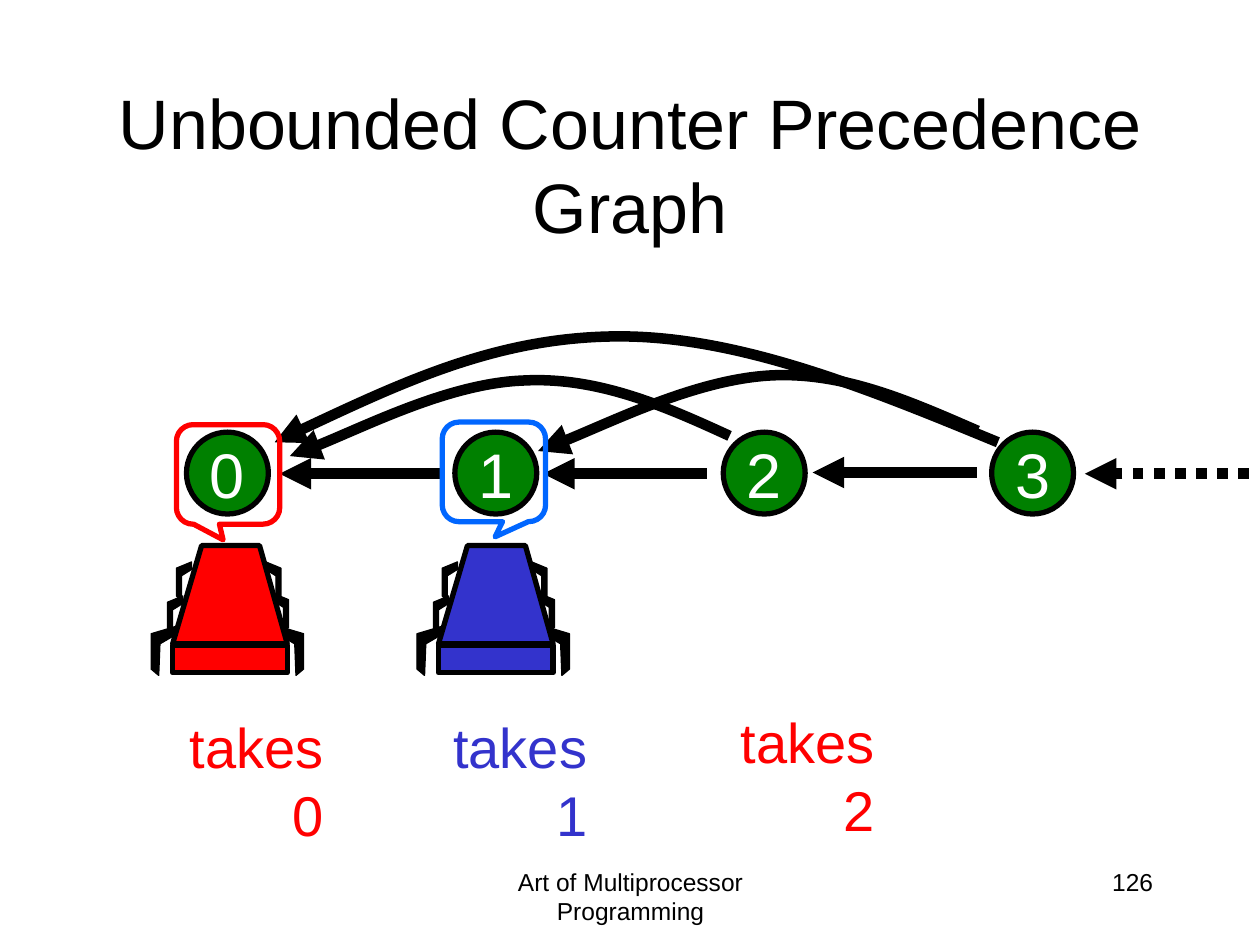
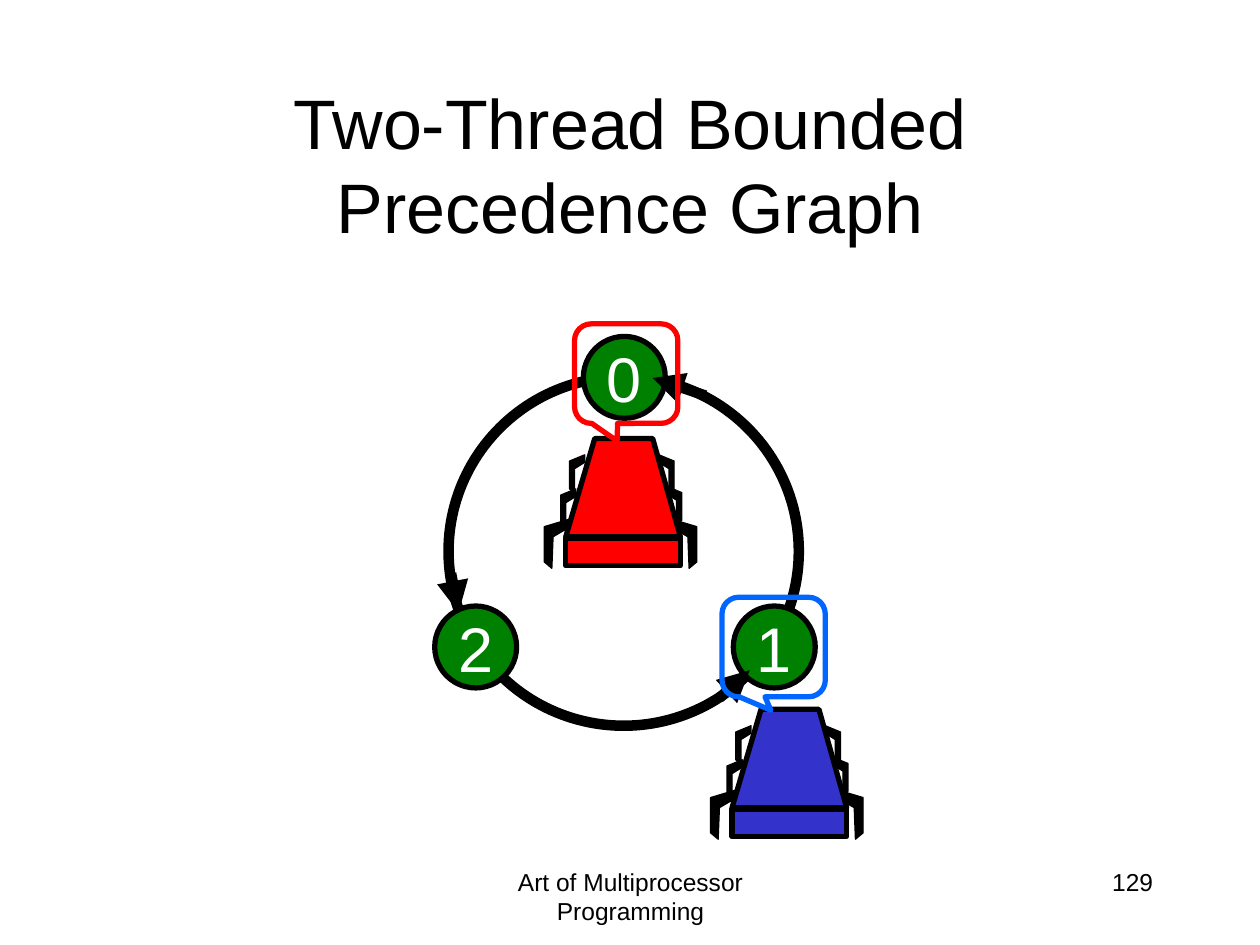
from pptx import Presentation
from pptx.dml.color import RGBColor
from pptx.enum.dml import MSO_LINE
from pptx.enum.shapes import MSO_CONNECTOR, MSO_SHAPE
from pptx.enum.text import MSO_ANCHOR, PP_ALIGN
from pptx.oxml.ns import qn
from pptx.oxml.xmlchemy import OxmlElement
from pptx.util import Pt

PX = 9144  # 100 px to the inch
BLACK, WHITE, GREEN = "000000", "FFFFFF", "008000"
RED, BLUE, BRIGHT_BLUE = "FF0000", "3333CC", "0066FF"
NODE_SIZE = 65
THIN, MEDIUM, THICK = 0.75, 3, 6

# Leg outlines start at the joint; each leg is (outline, direction, x, y).
BIG_LEG = [(0, 0), (20, 6), (20, 34), (14, 39), (13, 14), (1, 7)]
SMALL_LEG = [(0, 0), (12, 5), (12, 27), (8, 31), (8, 11), (0, 6)]
LOWER_LEGS = [(BIG_LEG, 1, 84, 64), (SMALL_LEG, 1, 80, 38),
              (BIG_LEG, -1, 3, 64), (SMALL_LEG, -1, 8, 40)]
UPPER_LEGS = [(SMALL_LEG, 1, 74, 13), (SMALL_LEG, -1, 15, 13)]
ROBOT_BODY = [(0, 78), (23, 0), (69, 0), (91, 78)]


def color(hex_string):
    return RGBColor.from_string(hex_string)


def emu(*lengths):
    return [length * PX for length in lengths]


class GraphDeck:
    """Holds the deck's style and the slide being drawn."""

    font = "Arial"
    footer = "Art of Multiprocessor Programming"

    def __init__(self):
        self.deck = Presentation()
        self.deck.slide_width, self.deck.slide_height = emu(1000, 750)
        self.shapes = None

    def page(self, title, number):
        self.shapes = self.deck.slides.add_slide(self.deck.slide_layouts[6]).shapes
        self.text(self.footer, 342, 683, 317, 50, size=14)
        self.text(number, 717, 683, 208, 50, size=14, align=PP_ALIGN.RIGHT)
        self.text(title, 75, 67, 850, 125, size=40, anchor=MSO_ANCHOR.MIDDLE)

    def fill_text(self, frame, text, size, ink, align, anchor, wrap):
        frame.word_wrap = wrap
        frame.vertical_anchor = anchor
        para = frame.paragraphs[0]
        para.text = text
        para.alignment = align
        para.font.name = self.font
        para.font.size = Pt(size)
        para.font.color.rgb = color(ink)

    def text(self, text, left, top, width, height, size, ink=BLACK,
             align=PP_ALIGN.CENTER, anchor=MSO_ANCHOR.TOP, wrap=True):
        box = self.shapes.add_textbox(*emu(left, top, width, height))
        self.fill_text(box.text_frame, text, size, ink, align, anchor, wrap)

    def paint(self, shape, fill, ink, weight):
        shape.shadow.inherit = False
        if fill:
            shape.fill.solid()
            shape.fill.fore_color.rgb = color(fill)
        else:
            shape.fill.background()
        self.stroke(shape, ink, weight)

    def stroke(self, shape, ink, weight):
        shape.line.color.rgb = color(ink)
        shape.line.width = Pt(weight)

    def preset(self, kind, left, top, width, height, fill=None, ink=BLACK, weight=MEDIUM):
        shape = self.shapes.add_shape(kind, *emu(left, top, width, height))
        self.paint(shape, fill, ink, weight)
        return shape

    def node(self, label, left, top):
        circle = self.preset(MSO_SHAPE.OVAL, left, top, NODE_SIZE, NODE_SIZE, GREEN)
        self.fill_text(circle.text_frame, label, 36, WHITE, PP_ALIGN.CENTER,
                       MSO_ANCHOR.MIDDLE, wrap=False)

    def callout(self, left, top, ink, tip_x, tip_y):
        bubble = self.preset(MSO_SHAPE.ROUNDED_RECTANGULAR_CALLOUT, left, top, 82, 79, ink=ink)
        for index, value in enumerate((tip_x, tip_y, 0.167)):
            bubble.adjustments[index] = value

    def outline(self, points, closed=True):
        builder = self.shapes.build_freeform(*points[0], scale=PX)
        builder.add_line_segments(points[1:], close=closed)
        return builder.convert_to_shape()

    def arrowhead(self, shape):
        tail = OxmlElement("a:tailEnd")
        tail.set("type", "triangle")
        shape._element.spPr.find(qn("a:ln")).append(tail)

    def arrow(self, start, end, dash=None):
        line = self.shapes.add_connector(MSO_CONNECTOR.STRAIGHT, *emu(*start, *end))
        self.stroke(line, BLACK, THICK)
        if dash:
            line.line.dash_style = dash
        self.arrowhead(line)
        line._element.spPr.append(OxmlElement("a:effectLst"))

    def curved_arrow(self, points):
        """Draw cubic curves: a start, then two control points and an end for each."""
        shape = self.outline(points, closed=False)
        segments = list(shape._element.iter(qn("a:lnTo")))
        for first in range(0, len(segments), 3):
            curve = OxmlElement("a:cubicBezTo")
            segments[first].addprevious(curve)
            for segment in segments[first:first + 3]:
                curve.append(segment[0])
                segment.getparent().remove(segment)
        self.paint(shape, None, BLACK, THICK)
        self.arrowhead(shape)

    def legs(self, legs, left, top):
        for leg, direction, joint_x, joint_y in legs:
            points = [(left + joint_x + direction * x, top + joint_y + y) for x, y in leg]
            self.paint(self.outline(points), BLACK, BLACK, THIN)

    def robot(self, left, top, fill):
        self.legs(LOWER_LEGS, left, top)
        body = self.outline([(left + x, top + y) for x, y in ROBOT_BODY])
        self.paint(body, fill, BLACK, MEDIUM)
        self.preset(MSO_SHAPE.RECTANGLE, left, top + 79, 91, 22, fill)
        self.legs(UPPER_LEGS, left, top)


def unbounded_graph(deck):
    deck.page("Unbounded Counter Precedence Graph", "126")
    for index in range(4):
        deck.node(str(index), 148 + 213 * index, 343)
    for start_x, y, dash in [(352, 376, None), (561, 376, None), (775, 375, None),
                             (991, 376, MSO_LINE.ROUND_DOT)]:
        deck.arrow((start_x, y), (start_x - 130, y), dash)
    for points in [
        [(792, 351), (690, 309), (588, 267), (492, 267), (396, 267), (307, 309), (218, 351)],
        [(579, 346), (527, 322), (474, 299), (416, 302), (358, 304), (261, 352), (230, 362)],
        [(776, 342), (723, 319), (670, 295), (612, 298), (554, 301), (457, 348), (427, 358)],
    ]:
        deck.curved_arrow(points)
    for label, left, top, ink in [("takes 0", 104, 561, RED), ("takes 1", 313, 561, BLUE),
                                  ("takes 2", 541, 557, RED)]:
        deck.text(label, left, top, 163, 64, size=32, ink=ink,
                  align=PP_ALIGN.RIGHT, wrap=False)
    deck.robot(348, 433, BLUE)
    deck.robot(137, 433, RED)
    deck.callout(140, 337, RED, -0.048, 0.657)
    deck.callout(351, 335, BRIGHT_BLUE, 0.012, 0.652)


def bounded_graph(deck):
    deck.page("Two-Thread Bounded Precedence Graph", "129")
    deck.preset(MSO_SHAPE.OVAL, 356, 299, 278, 277, weight=THICK)
    for label, left, top in [("0", 463, 267), ("1", 582, 481), ("2", 345, 481)]:
        deck.node(label, left, top)
    for start, end in [((358, 455), (364, 486)), ((571, 554), (595, 532)),
                       ((560, 314), (518, 300))]:
        deck.arrow(start, end)
    deck.robot(449, 348, RED)
    deck.robot(581, 563, BLUE)
    deck.callout(456, 257, RED, -0.088, 0.677)
    deck.callout(573, 474, BRIGHT_BLUE, -0.027, 0.635)


def main():
    graphs = GraphDeck()
    unbounded_graph(graphs)
    bounded_graph(graphs)
    graphs.deck.save("out.pptx")


if __name__ == "__main__":
    main()
